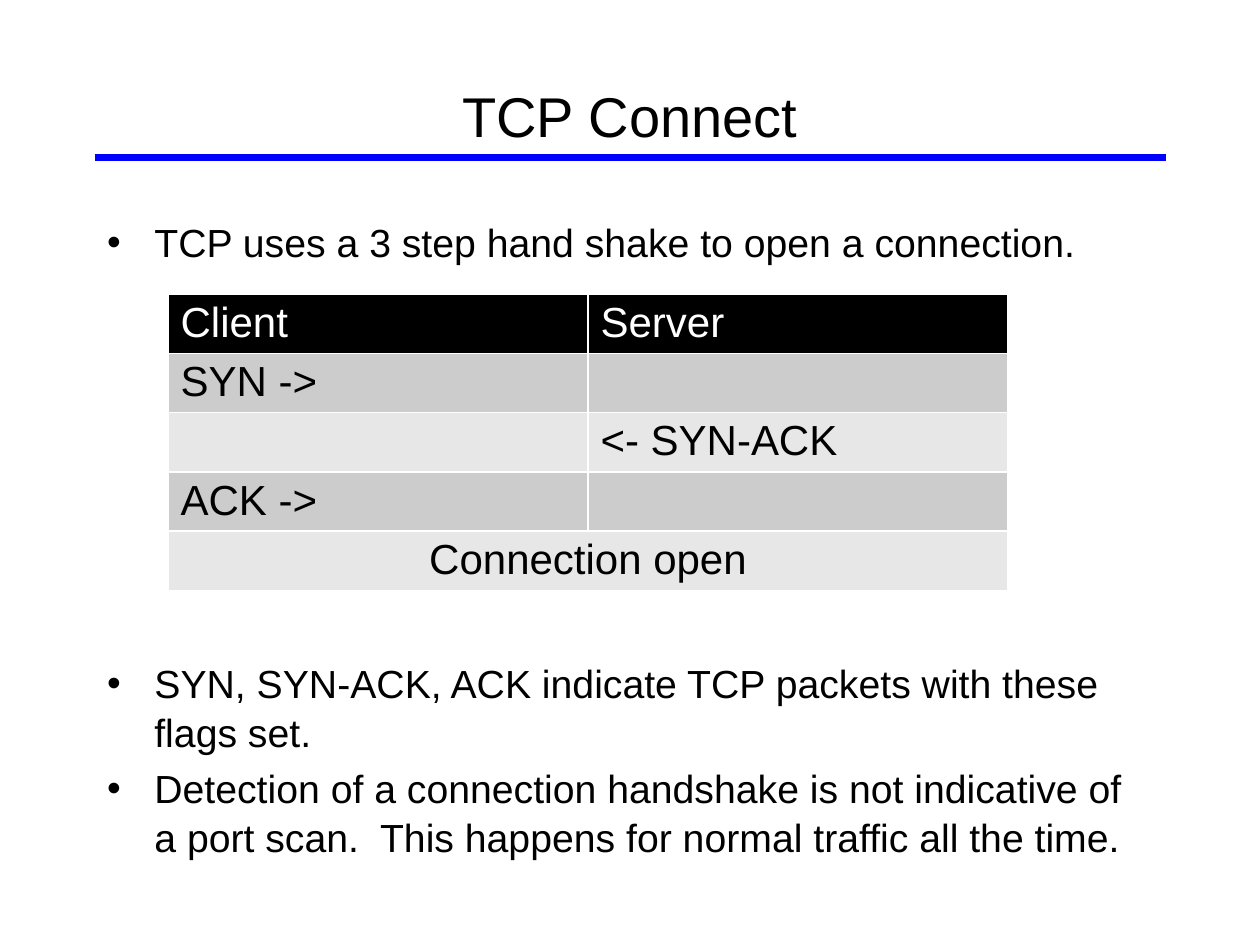
from lxml.etree import SubElement
from pptx import Presentation
from pptx.dml.color import RGBColor
from pptx.enum.shapes import MSO_CONNECTOR
from pptx.enum.text import MSO_ANCHOR, MSO_AUTO_SIZE, PP_ALIGN
from pptx.oxml.ns import qn
from pptx.util import Pt

COLORS = {"text": "000000", "rule": "0000FF", "white": "FFFFFF",
          "header": "000000", "dark_band": "CCCCCC", "light_band": "E7E7E7"}


def set_font(paragraph, size, color):
    paragraph.font.name = "Arial"
    paragraph.font.size = Pt(size)
    paragraph.font.color.rgb = RGBColor.from_string(COLORS[color])


def add_borders(cell, width, color):
    properties = cell._tc.get_or_add_tcPr()
    for index, side in enumerate(("lnL", "lnR", "lnT", "lnB")):
        line = properties.makeelement(qn(f"a:{side}"), {"w": str(Pt(width))})
        fill = SubElement(line, qn("a:solidFill"))
        SubElement(fill, qn("a:srgbClr"), val=COLORS[color])
        properties.insert(index, line)


presentation = Presentation()
presentation.slide_width, presentation.slide_height = Pt(720), Pt(540)
slide = presentation.slides.add_slide(presentation.slide_layouts[1])

rule = slide.shapes.add_connector(MSO_CONNECTOR.STRAIGHT, Pt(54), Pt(90), Pt(666), Pt(90))
rule.line.color.rgb = RGBColor.from_string(COLORS["rule"])
rule.line.width = Pt(4.5)
SubElement(rule._element.spPr, qn("a:effectLst"))

title = slide.shapes.title
title.left, title.top, title.width, title.height = Pt(54), Pt(48), Pt(612), Pt(36)
title.text_frame.text = "TCP Connect"
title.text_frame.auto_size = MSO_AUTO_SIZE.NONE
title.text_frame.vertical_anchor = MSO_ANCHOR.MIDDLE
title.text_frame.paragraphs[0].alignment = PP_ALIGN.CENTER
set_font(title.text_frame.paragraphs[0], 32, "text")

bullets = [
    ("TCP uses a 3 step hand shake to open a connection.", 2),
    ("SYN, SYN-ACK, ACK indicate TCP packets with these flags set.", 224),
    ("Detection of a connection handshake is not indicative of a port scan.  "
     "This happens for normal traffic all the time.", 4.5),
]
body = slide.placeholders[1]
body.left, body.top, body.width, body.height = Pt(54), Pt(120), Pt(612), Pt(324)
body.text_frame.text = "\n".join(text for text, _ in bullets)
body.text_frame.auto_size = MSO_AUTO_SIZE.NONE
body.text_frame.vertical_anchor = MSO_ANCHOR.TOP
for paragraph, (_, space_before) in zip(body.text_frame.paragraphs, bullets):
    set_font(paragraph, 22.4, "text")
    paragraph.space_before = Pt(space_before)
    paragraph.line_spacing = 1.04
    properties = paragraph._p.get_or_add_pPr()
    properties.set("marL", str(Pt(27)))
    properties.set("indent", str(Pt(-27)))
    bullet = properties.makeelement(qn("a:buChar"), {"char": "•"})
    properties.find(qn("a:defRPr")).addprevious(bullet)

rows = [("Client", "Server"), ("SYN ->", ""), ("", "<- SYN-ACK"),
        ("ACK ->", ""), ("Connection open", "")]
row_height = 33.9
table = slide.shapes.add_table(len(rows), 2, Pt(96), Pt(168), Pt(480),
                               Pt(row_height * len(rows))).table
for row_index, texts in enumerate(rows):
    table.rows[row_index].height = Pt(row_height)
    band = "header" if row_index == 0 else ("light_band", "dark_band")[row_index % 2]
    for column_index, text in enumerate(texts):
        cell = table.cell(row_index, column_index)
        cell.text = text
        cell.margin_top = cell.margin_bottom = Pt(3)
        cell.fill.solid()
        cell.fill.fore_color.rgb = RGBColor.from_string(COLORS[band])
        set_font(cell.text_frame.paragraphs[0], 24, "white" if row_index == 0 else "text")
        add_borders(cell, 1, "white")
last_row = len(rows) - 1
table.cell(last_row, 0).merge(table.cell(last_row, 1))
table.cell(last_row, 0).text_frame.paragraphs[0].alignment = PP_ALIGN.CENTER

presentation.save("out.pptx")
